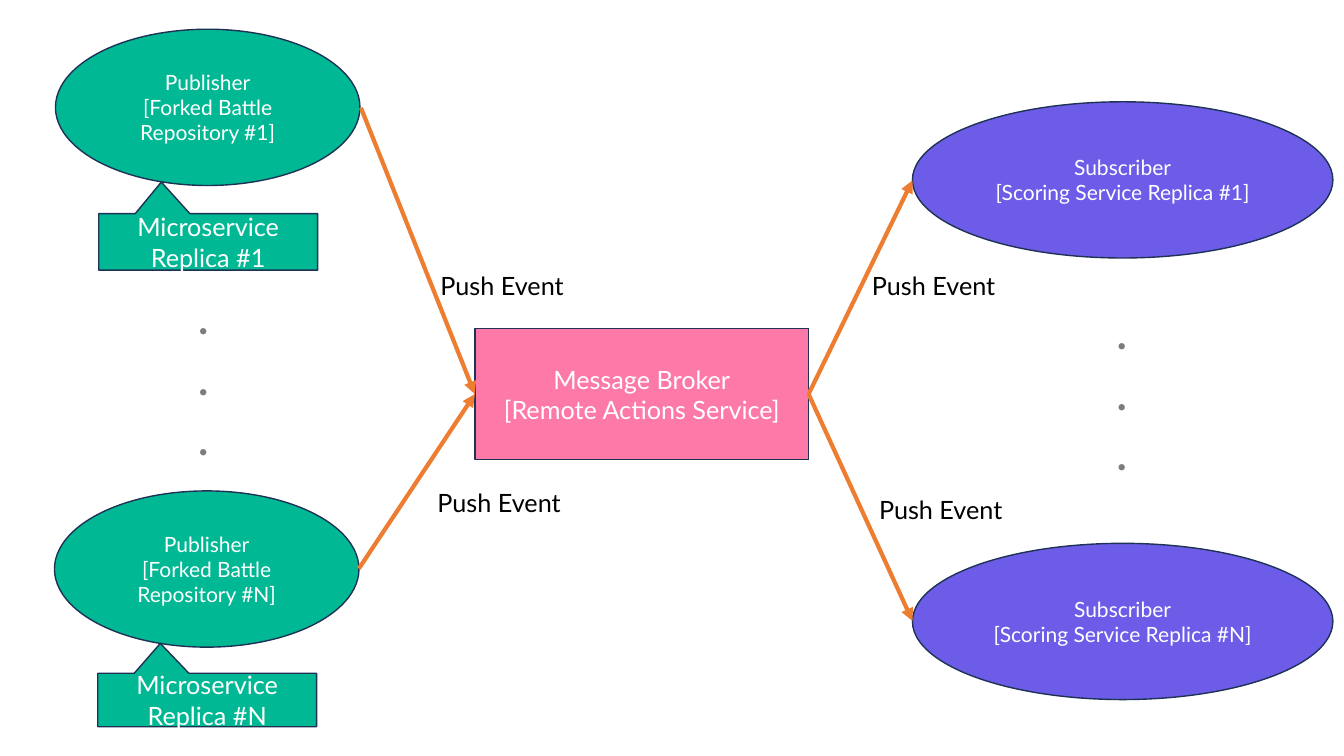
"""Build a publish-subscribe architecture slide with a central message broker."""
import pptx
import pptx.util
import pptx.dml.color
import pptx.enum.shapes
import pptx.enum.text
import pptx.oxml
import pptx.oxml.ns

Inches = pptx.util.Inches
Pt = pptx.util.Pt
RGBColor = pptx.dml.color.RGBColor
SHAPE = pptx.enum.shapes.MSO_SHAPE

PINK = RGBColor(0xFD, 0x79, 0xA8)
GREEN = RGBColor(0x00, 0xB8, 0x94)
PURPLE = RGBColor(0x6C, 0x5C, 0xE7)
NAVY = RGBColor(0x1E, 0x32, 0x56)
ORANGE = RGBColor(0xED, 0x7D, 0x31)
WHITE = RGBColor(0xFF, 0xFF, 0xFF)
BLACK = RGBColor(0x00, 0x00, 0x00)
GRAY = RGBColor(0x7C, 0x7C, 0x7C)

presentation = pptx.Presentation()
presentation.slide_width = Inches(13.33)
presentation.slide_height = Inches(7.5)
slide = presentation.slides.add_slide(presentation.slide_layouts[6])


def write_text(shape, text, size, color, alignment):
    shape.text_frame.text = text
    for paragraph in shape.text_frame.paragraphs:
        paragraph.alignment = alignment
        for run in paragraph.runs:
            run.font.name = "Lato"
            run.font.size = Pt(size)
            run.font.color.rgb = color


def add_node(kind, left, top, width, height, fill, text, size):
    shape = slide.shapes.add_shape(
        kind, Inches(left), Inches(top), Inches(width), Inches(height))
    shape.shadow.inherit = False
    shape.fill.solid()
    shape.fill.fore_color.rgb = fill
    shape.line.color.rgb = NAVY
    shape.line.width = Pt(1)
    shape.text_frame.vertical_anchor = pptx.enum.text.MSO_ANCHOR.MIDDLE
    write_text(shape, text, size, WHITE, pptx.enum.text.PP_ALIGN.CENTER)
    return shape


broker = add_node(SHAPE.RECTANGLE, 4.71, 3.26, 3.31, 1.3, PINK,
                  "Message Broker\n[Remote Actions Service]", 18)

publishers = [("#1", 0.55, 0.29, 0.98, 2.12, 0.56),
              ("#N", 0.54, 4.87, 0.97, 6.68, 0.53)]
for number, left, top, callout_left, callout_top, callout_height in publishers:
    add_node(SHAPE.OVAL, left, top, 3.02, 1.55, GREEN,
             f"Publisher\n[Forked Battle Repository {number}]", 15)
    callout = add_node(SHAPE.RECTANGULAR_CALLOUT, callout_left, callout_top, 2.17,
                       callout_height, GREEN, f"Microservice Replica {number}", 18)
    callout.adjustments[0] = -0.214
    callout.adjustments[1] = -1.06

for number, top in [("#1", 1.01), ("#N", 5.39)]:
    add_node(SHAPE.OVAL, 9.05, top, 4.17, 1.55, PURPLE,
             f"Subscriber\n[Scoring Service Replica {number}]", 15)

broker_left, broker_right, broker_middle = 4.71, 8.02, 3.91
arrows = [(3.58, 1.07, broker_left, broker_middle),
          (3.56, 5.64, broker_left, broker_middle),
          (broker_right, broker_middle, 9.05, 1.79),
          (broker_right, broker_middle, 9.05, 6.16)]
for start_x, start_y, end_x, end_y in arrows:
    arrow = slide.shapes.add_connector(
        pptx.enum.shapes.MSO_CONNECTOR.STRAIGHT,
        Inches(start_x), Inches(start_y), Inches(end_x), Inches(end_y))
    if end_x == broker_left:
        arrow.end_connect(broker, 1)
    else:
        arrow.begin_connect(broker, 3)
    arrow.line.color.rgb = ORANGE
    arrow.line.width = Pt(3)
    head = pptx.oxml.parse_xml(
        f'<a:tailEnd {pptx.oxml.ns.nsdecls("a")} type="triangle"/>')
    arrow.line._get_or_add_ln().append(head)
    arrow._element.spPr.append(
        pptx.oxml.parse_xml(f'<a:effectLst {pptx.oxml.ns.nsdecls("a")}/>'))

for left, top in [(4.27, 2.63), (4.24, 4.79), (8.55, 2.63), (8.62, 4.86)]:
    label = slide.shapes.add_textbox(Inches(left), Inches(top), Inches(1.43), Inches(0.4))
    label.text_frame.word_wrap = False
    write_text(label, "Push Event", 18, BLACK, pptx.enum.text.PP_ALIGN.LEFT)

for left, top in [(10.97, 2.92), (1.86, 2.77)]:
    dots = slide.shapes.add_textbox(Inches(left), Inches(top), Inches(0.37), Inches(1.92))
    dots.text_frame.word_wrap = True
    write_text(dots, ". . .", 36, GRAY, pptx.enum.text.PP_ALIGN.LEFT)

presentation.save("out.pptx")
